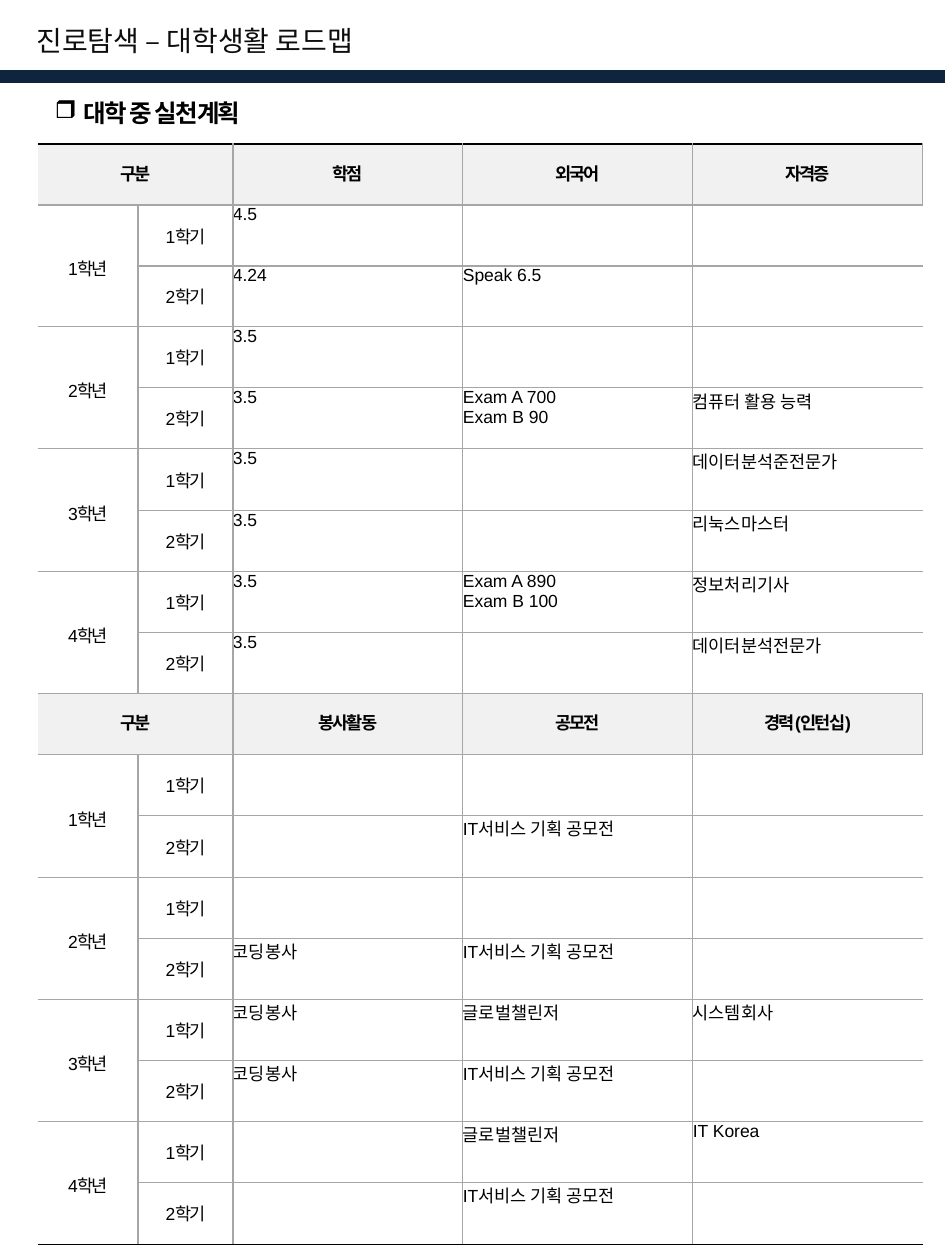
"""Build a one-page university roadmap with a semester-by-semester action plan."""
from dataclasses import dataclass

from lxml import etree
from pptx import Presentation
from pptx import util as u
from pptx.dml.color import RGBColor
from pptx.enum import shapes, text
from pptx.oxml import ns


@dataclass(frozen=True)
class Theme:
    navy: str = "0F243E"
    title: str = "0D0D0D"
    black: str = "000000"
    grid: str = "A6A6A6"
    header: str = "F1F1F1"
    latin: str = "Arial"
    korean: str = "Noto Sans CJK KR"
    title_size: int = 16
    heading_size: int = 14
    table_size: int = 10


theme = Theme()
PX = u.Inches(1) / 126


def add_span(para, words, size, face, color=theme.black, bold=False, spacing=0):
    span = para.add_run()
    span.text = words
    span.font.size = u.Pt(size)
    span.font.bold = bold
    span.font.color.rgb = RGBColor.from_string(color)
    span.font.name = face
    properties = span.font._element
    properties.set("spc", str(spacing))
    etree.SubElement(properties, ns.qn("a:ea"), typeface=theme.korean)


def add_border(cell, side, color, points):
    properties = cell._tc.get_or_add_tcPr()
    line = etree.SubElement(properties, ns.qn(f"a:ln{side}"), w=str(u.Pt(points)))
    if color is None:
        etree.SubElement(line, ns.qn("a:noFill"))
    else:
        fill = etree.SubElement(line, ns.qn("a:solidFill"))
        etree.SubElement(fill, ns.qn("a:srgbClr"), val=color)


deck = Presentation()
deck.slide_width, deck.slide_height = u.Inches(7.5), u.Inches(10)
page = deck.slides.add_slide(deck.slide_layouts[5])

title = page.shapes.title
title.left, title.top, title.width, title.height = [int(n * PX) for n in (24, 18, 851, 44)]
title.text_frame.vertical_anchor = text.MSO_ANCHOR.MIDDLE
title.text_frame.auto_size = text.MSO_AUTO_SIZE.NONE
para = title.text_frame.paragraphs[0]
para.alignment = text.PP_ALIGN.LEFT
add_span(para, "진로탐색 – 대학생활 로드맵", theme.title_size, theme.korean, theme.title)

band = page.shapes.add_shape(
    shapes.MSO_SHAPE.RECTANGLE, *[int(n * PX) for n in (0, 74, 945, 5)])
band.shadow.inherit = False
band.fill.solid()
band.fill.fore_color.rgb = RGBColor.from_string(theme.navy)
band.line.color.rgb = RGBColor.from_string(theme.navy)
band.line.width = u.Pt(4.33)

contest = "IT서비스 기획 공모전"
sections = [
    (["학점", "외국어", "자격증"], [
        ["4.5", "", ""],
        ["4.24", "Speak 6.5", ""],
        ["3.5", "", ""],
        ["3.5", "Exam A 700\nExam B 90", "컴퓨터 활용 능력"],
        ["3.5", "", "데이터분석준전문가"],
        ["3.5", "", "리눅스마스터"],
        ["3.5", "Exam A 890\nExam B 100", "정보처리기사"],
        ["3.5", "", "데이터분석전문가"],
    ]),
    (["봉사활동", "공모전", "경력(인턴십)"], [
        ["", "", ""],
        ["", contest, ""],
        ["", "", ""],
        ["코딩봉사", contest, ""],
        ["코딩봉사", "글로벌챌린저", "시스템회사"],
        ["코딩봉사", contest, ""],
        ["", "글로벌챌린저", "IT Korea"],
        ["", contest, ""],
    ]),
]
plan = []
for headings, semesters in sections:
    plan.append(["구분", ""] + headings)
    for index, entries in enumerate(semesters):
        year = "" if index % 2 else f"{index // 2 + 1}학년"
        plan.append([year, f"{index % 2 + 1}학기"] + entries)

section_rows = len(plan) // len(sections)
last_row, last_column = len(plan) - 1, len(plan[0]) - 1
frame = page.shapes.add_table(
    len(plan), len(plan[0]), *[int(n * PX) for n in (38, 144, 885, 1101)])
table = frame.table
table.first_row = table.horz_banding = False
for column, width in zip(table.columns, (100, 95, 230, 230, 230)):
    column.width = int(width * PX)

for r, values in enumerate(plan):
    table.rows[r].height = int((62 if r % 6 == 5 else 61) * PX)
    is_header = r % section_rows == 0
    for c, words in enumerate(values):
        cell = table.cell(r, c)
        is_label = is_header or c < 2
        cell.margin_left = cell.margin_right = cell.margin_top = cell.margin_bottom = 0
        cell.vertical_anchor = text.MSO_ANCHOR.MIDDLE if is_label else text.MSO_ANCHOR.TOP
        if is_header:
            cell.margin_bottom = int(4 * PX)
        elif c == 0:
            cell.margin_top = int(5 * PX)

        at_bottom = r == last_row or (c == 0 and r == last_row - 1)
        at_right = c == last_column and not is_header
        add_border(cell, "L", theme.grid if c else None, 0.75)
        add_border(cell, "R", None if at_right else theme.grid, 0.75)
        add_border(cell, "T", *((theme.grid, 0.75) if r else (theme.black, 1)))
        add_border(cell, "B", *((theme.black, 1) if at_bottom else (theme.grid, 0.75)))
        if is_header:
            cell.fill.solid()
            cell.fill.fore_color.rgb = RGBColor.from_string(theme.header)
        else:
            cell.fill.background()

        if not words:
            cell.text_frame.paragraphs[0].font.size = u.Pt(theme.table_size)
            continue
        for index, line in enumerate(words.split("\n")):
            para = cell.text_frame.add_paragraph() if index else cell.text_frame.paragraphs[0]
            para.alignment = text.PP_ALIGN.CENTER if is_label else text.PP_ALIGN.LEFT
            add_span(para, line, theme.table_size, theme.latin,
                     bold=is_header, spacing=-110 if is_label else 0)

    if is_header:
        table.cell(r, 0).merge(table.cell(r, 1))
    elif values[0]:
        table.cell(r, 0).merge(table.cell(r + 1, 0))

heading = page.shapes.add_textbox(*[int(n * PX) for n in (54, 98, 239, 32)])
box = heading.text_frame
box.word_wrap = True
box.auto_size = text.MSO_AUTO_SIZE.SHAPE_TO_FIT_TEXT
box.margin_left = box.margin_right = box.margin_top = box.margin_bottom = 0
para = box.paragraphs[0]
properties = para._p.get_or_add_pPr()
properties.set("marL", str(int(30 * PX)))
properties.set("indent", str(int(-29 * PX)))
etree.SubElement(properties, ns.qn("a:buChar"), char="❒")
tabs = etree.SubElement(properties, ns.qn("a:tabLst"))
etree.SubElement(tabs, ns.qn("a:tab"), pos=str(int(30 * PX)), algn="l")
add_span(para, "대학 중 실천계획", theme.heading_size, theme.korean, bold=True, spacing=-90)

deck.save("out.pptx")
